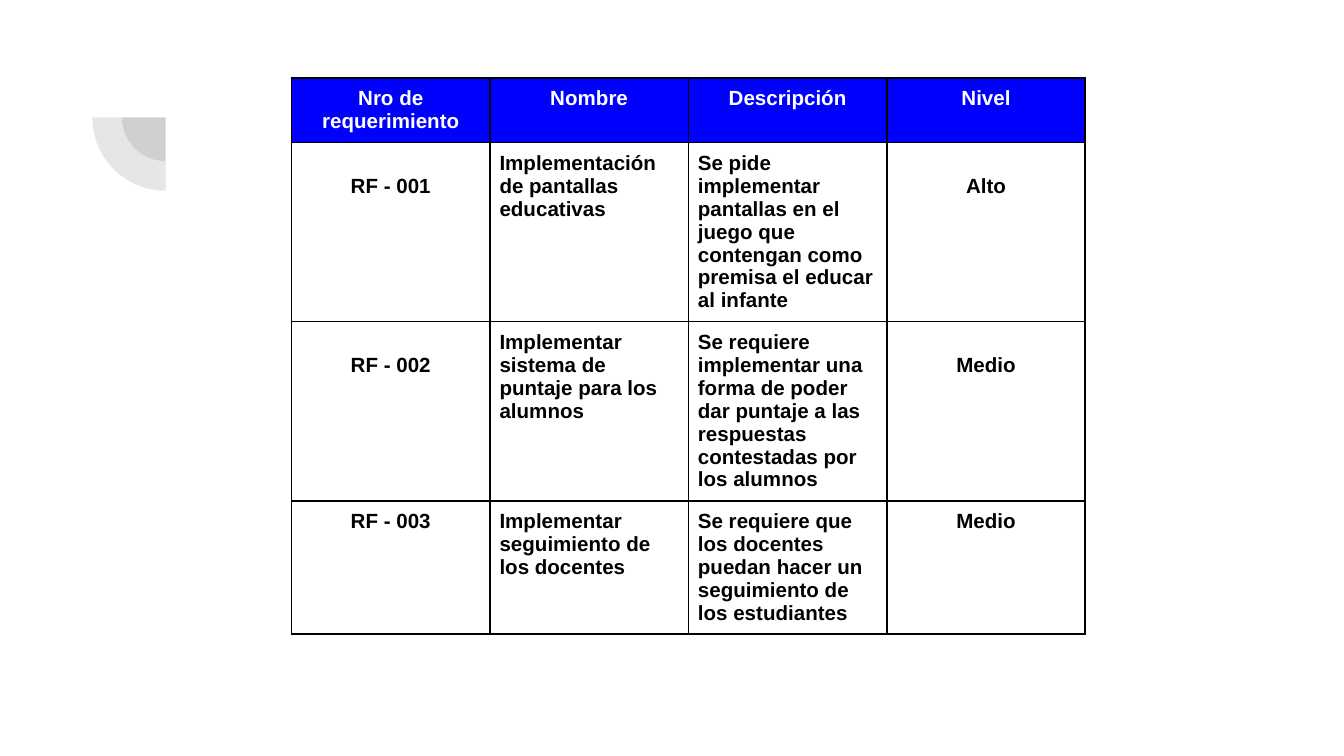
from dataclasses import dataclass

from lxml.etree import SubElement
from pptx import Presentation
from pptx.dml.color import RGBColor
from pptx.enum.shapes import MSO_SHAPE
from pptx.enum.text import PP_ALIGN
from pptx.oxml.ns import qn
from pptx.slide import Slide
from pptx.table import _Cell as Cell
from pptx.util import Cm, Pt


@dataclass(frozen=True)
class Theme:
    font: str = "Arial"
    size: int = 11
    ink: str = "000000"
    header_ink: str = "FFFFFF"
    header_fill: str = "0000FF"
    ornament: str = "424242"
    ornament_alpha: int = 13
    border_width: int = 1


@dataclass(frozen=True)
class Requirement:
    number: str
    title: str
    description: str
    level: str
    height: float
    lowered: bool = True


THEME = Theme()
HEADINGS = ("Nro de requerimiento", "Nombre", "Descripción", "Nivel")
HEADER_HEIGHT = 1.22
REQUIREMENTS = (
    Requirement(
        "RF - 001",
        "Implementación de pantallas educativas",
        "Se pide implementar pantallas en el juego que contengan como premisa el educar al infante",
        "Alto",
        3.37,
    ),
    Requirement(
        "RF - 002",
        "Implementar sistema de puntaje para los alumnos",
        "Se requiere implementar una forma de poder dar puntaje a las respuestas contestadas por los alumnos",
        "Medio",
        3.37,
    ),
    Requirement(
        "RF - 003",
        "Implementar seguimiento de los docentes",
        "Se requiere que los docentes puedan hacer un seguimiento de los estudiantes",
        "Medio",
        2.51,
        lowered=False,
    ),
)
TABLE_LEFT, TABLE_TOP, COLUMN_WIDTH = 5.51, 1.47, 3.75
CELL_MARGIN, LINE_HEIGHT = 0.18, 0.43
ORNAMENT_CENTRE = (3.13, 2.22)
ORNAMENT_DIAMETERS = (1.65, 2.77)


def draw_quarter(slide: Slide, diameter: float) -> None:
    x, y = ORNAMENT_CENTRE
    quarter = slide.shapes.add_shape(
        MSO_SHAPE.PIE, Cm(x - diameter / 2), Cm(y - diameter / 2), Cm(diameter), Cm(diameter)
    )
    quarter.adjustments[0] = 108
    quarter.adjustments[1] = 162
    quarter.rotation = 270
    quarter.shadow.inherit = False
    quarter.line.fill.background()
    quarter.fill.solid()
    quarter.fill.fore_color.rgb = RGBColor.from_string(THEME.ornament)
    color = quarter.fill._xPr.find(qn("a:solidFill"))[0]
    SubElement(color, qn("a:alpha"), val=str(THEME.ornament_alpha * 1000))


def add_borders(cell: Cell) -> None:
    properties = cell._tc.get_or_add_tcPr()
    for side in ("lnL", "lnR", "lnT", "lnB"):
        border = SubElement(properties, qn(f"a:{side}"), w=str(Pt(THEME.border_width)))
        fill = SubElement(border, qn("a:solidFill"))
        SubElement(fill, qn("a:srgbClr"), val=THEME.ink)


def write_cell(cell: Cell, text: str, centred: bool, header: bool, lowered: bool) -> None:
    add_borders(cell)
    cell.margin_left = cell.margin_right = cell.margin_bottom = Cm(CELL_MARGIN)
    cell.margin_top = Cm(CELL_MARGIN + (LINE_HEIGHT if lowered else 0))
    if header:
        cell.fill.solid()
        cell.fill.fore_color.rgb = RGBColor.from_string(THEME.header_fill)
    else:
        cell.fill.background()
    cell.text_frame.text = text
    paragraph = cell.text_frame.paragraphs[0]
    paragraph.alignment = PP_ALIGN.CENTER if centred else PP_ALIGN.LEFT
    font = paragraph.runs[0].font
    font.name = THEME.font
    font.size = Pt(THEME.size)
    font.bold = True
    font.color.rgb = RGBColor.from_string(THEME.header_ink if header else THEME.ink)


def draw_requirements(slide: Slide) -> None:
    heights = [HEADER_HEIGHT, *(requirement.height for requirement in REQUIREMENTS)]
    table = slide.shapes.add_table(
        len(heights),
        len(HEADINGS),
        Cm(TABLE_LEFT),
        Cm(TABLE_TOP),
        Cm(COLUMN_WIDTH * len(HEADINGS)),
        Cm(sum(heights)),
    ).table
    table.first_row = table.horz_banding = False
    for column in table.columns:
        column.width = Cm(COLUMN_WIDTH)
    for row, height in zip(table.rows, heights):
        row.height = Cm(height)
    for column, heading in enumerate(HEADINGS):
        write_cell(table.cell(0, column), heading, centred=True, header=True, lowered=False)
    for row, item in enumerate(REQUIREMENTS, start=1):
        texts = (item.number, item.title, item.description, item.level)
        for column, text in enumerate(texts):
            centred = text in (item.number, item.level)
            write_cell(table.cell(row, column), text, centred, False, centred and item.lowered)


def main() -> None:
    presentation = Presentation()
    presentation.slide_width = Cm(25.4)
    presentation.slide_height = Cm(14.29)
    slide = presentation.slides.add_slide(presentation.slide_layouts[6])
    for diameter in ORNAMENT_DIAMETERS:
        draw_quarter(slide, diameter)
    draw_requirements(slide)
    presentation.save("out.pptx")


if __name__ == "__main__":
    main()
